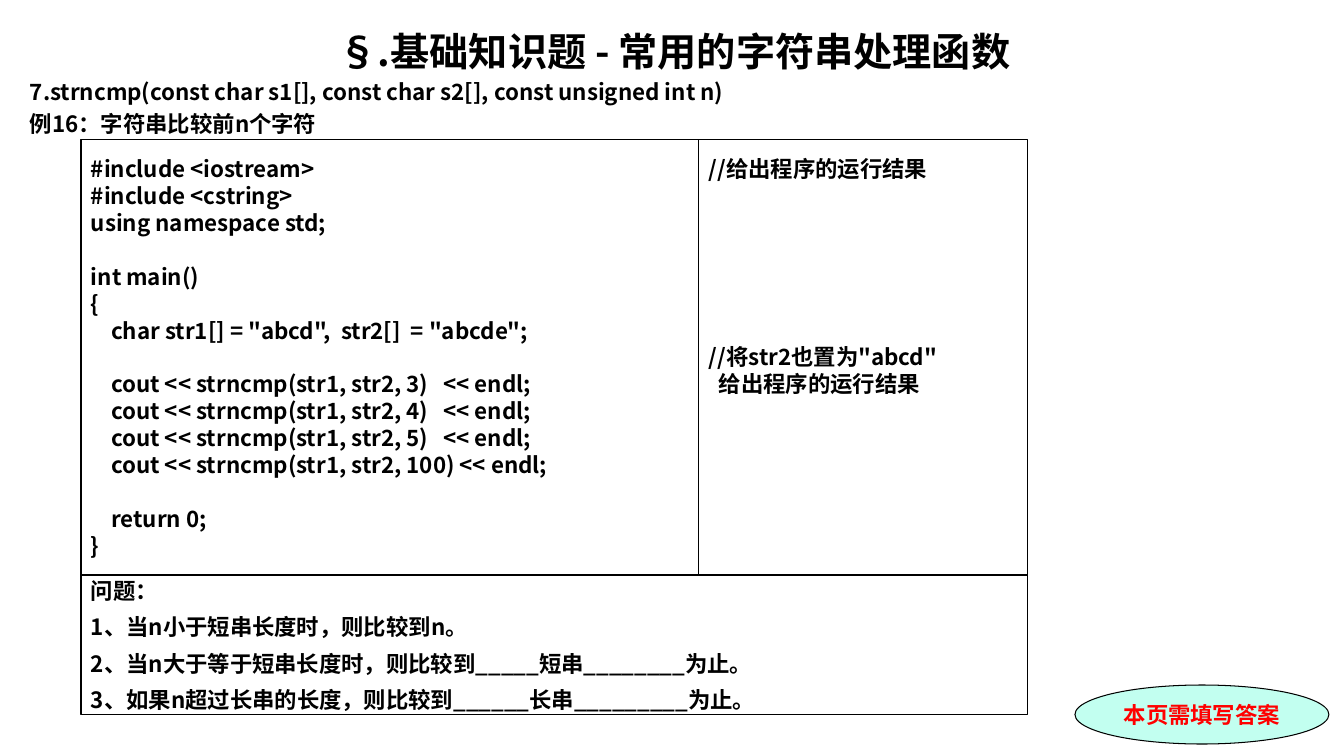
"""Build the strncmp exercise slide with its code, result and question panels."""
import pptx
import pptx.util
import pptx.dml.color
from pptx.enum.shapes import MSO_SHAPE
from pptx.enum.text import MSO_ANCHOR, PP_ALIGN
from lxml import etree

PX = 914400 / 100.8
SANS = "Noto Sans CJK SC"
DRAWING = "{http://schemas.openxmlformats.org/drawingml/2006/main}"


def color(hex_value):
    return pptx.dml.color.RGBColor.from_string(hex_value)


def write_lines(shape, lines, align=PP_ALIGN.LEFT, anchor=MSO_ANCHOR.MIDDLE,
                ink="000000", face=SANS):
    frame = shape.text_frame
    frame.word_wrap = True
    frame.vertical_anchor = anchor
    for index, (text, size, gap) in enumerate(lines):
        paragraph = frame.paragraphs[0] if index == 0 else frame.add_paragraph()
        paragraph.alignment = align
        paragraph.line_spacing = pptx.util.Pt(size * 1.2)
        paragraph.space_before = pptx.util.Pt(gap if index else 0)
        paragraph.font.size = pptx.util.Pt(size)
        if not text:
            continue
        run = paragraph.add_run()
        run.text = text
        run.font.size = pptx.util.Pt(size)
        run.font.bold = True
        run.font.name = face
        run.font.color.rgb = color(ink)
        east_asian = etree.Element(DRAWING + "ea", typeface=SANS)
        run.font._element.find(DRAWING + "latin").addnext(east_asian)
    return frame


presentation = pptx.Presentation()
presentation.slide_width = round(1344 * PX)
presentation.slide_height = round(756 * PX)
slide = presentation.slides.add_slide(presentation.slide_layouts[6])

heading = slide.shapes.add_textbox(*[round(v * PX) for v in (20, 22, 1309, 115)])
heading_frame = write_lines(heading, [
    ("§.基础知识题 - 常用的字符串处理函数", 28, 0),
    ("7.strncmp(const char s1[], const char s2[], const unsigned int n)", 16, 3.2),
    ("例16：字符串比较前n个字符", 16, 3.2),
], anchor=MSO_ANCHOR.TOP)
heading_frame.paragraphs[0].alignment = PP_ALIGN.CENTER

code = '''#include <iostream>
#include <cstring>
using namespace std;

int main()
{
    char str1[] = "abcd",  str2[]  = "abcde";

    cout << strncmp(str1, str2, 3)   << endl;
    cout << strncmp(str1, str2, 4)   << endl;
    cout << strncmp(str1, str2, 5)   << endl;
    cout << strncmp(str1, str2, 100) << endl;

    return 0;
}'''
questions = [
    "问题：",
    "1、当n小于短串长度时，则比较到n。",
    "2、当n大于等于短串长度时，则比较到_____短串________为止。",
    "3、如果n超过长串的长度，则比较到______长串_________为止。",
]
results = [
    ("//给出程序的运行结果", 16, 0),
    ('//将str2也置为"abcd"', 16, 6 * 19.2),
    ("给出程序的运行结果", 16, 0),
]

panels = []
for preset, fill, box in [
    (MSO_SHAPE.RECTANGLE, None, (81, 139, 618, 436)),
    (MSO_SHAPE.RECTANGLE, None, (81, 575, 947, 140)),
    (MSO_SHAPE.RECTANGLE, None, (699, 139, 329, 436)),
    (MSO_SHAPE.OVAL, "C2FFF0", (1075, 685, 254, 59)),
]:
    panel = slide.shapes.add_shape(preset, *[round(v * PX) for v in box])
    panel.shadow.inherit = False
    panel.line.color.rgb = color("000000")
    panel.line.width = pptx.util.Pt(0.75)
    if fill:
        panel.fill.solid()
        panel.fill.fore_color.rgb = color(fill)
    else:
        panel.fill.background()
    panels.append(panel)
code_panel, question_panel, result_panel, answer_badge = panels

write_lines(code_panel, [(line, 16, 0) for line in code.split("\n")])
write_lines(question_panel, [(line, 16, 6.7) for line in questions])
result_frame = write_lines(result_panel, results, anchor=MSO_ANCHOR.TOP)
result_frame.margin_top = round(16 * PX)
result_frame.paragraphs[2]._p.get_or_add_pPr().set("marL", str(round(10 * PX)))
write_lines(answer_badge, [("本页需填写答案", 16, 0)], PP_ALIGN.CENTER,
            ink="FF0000", face="Times New Roman")

presentation.save("out.pptx")
